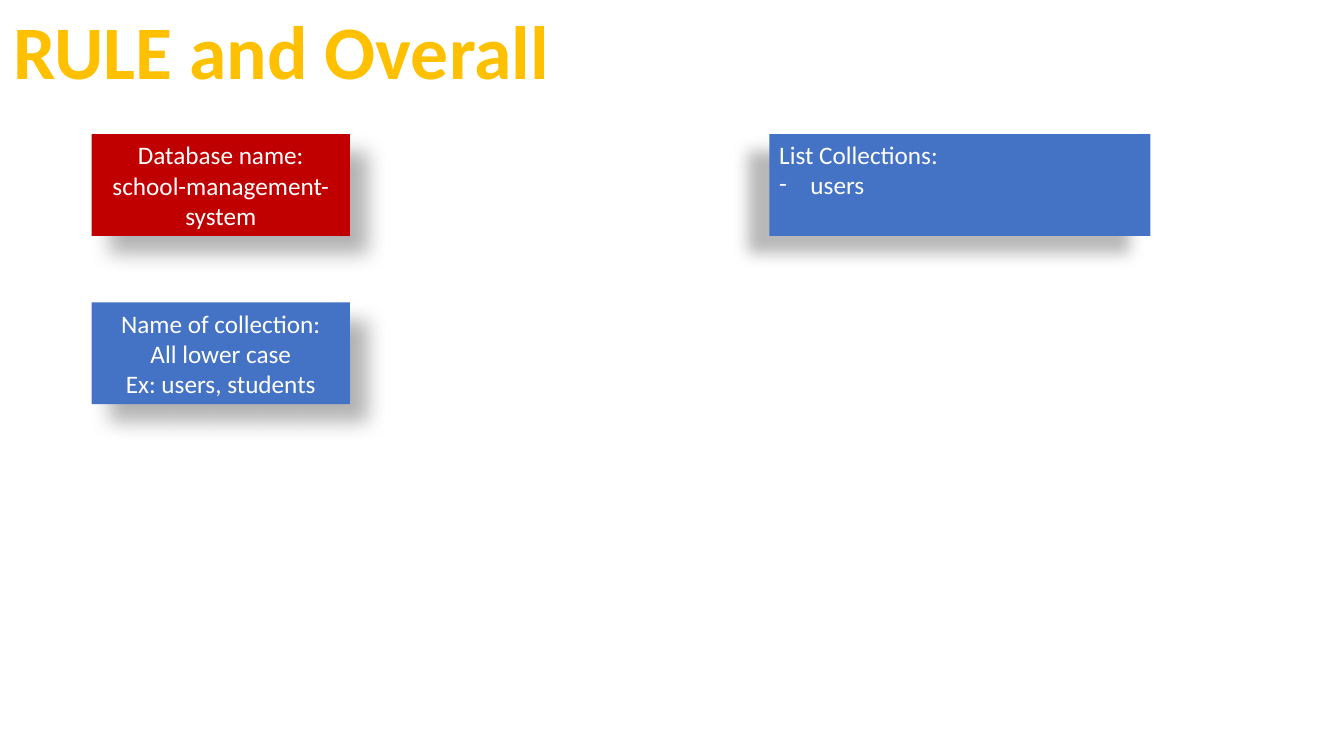
from dataclasses import dataclass

from lxml import etree
from pptx import Presentation
from pptx.dml.color import RGBColor
from pptx.enum import shapes, text
from pptx.oxml import ns
from pptx.util import Inches, Pt


@dataclass(frozen=True)
class Theme:
    font: str = "Calibri"
    gold: str = "FFC000"
    blue: str = "4472C4"
    red: str = "C00000"
    white: str = "FFFFFF"
    black: str = "000000"
    title_size: int = 54
    body_size: int = 18


@dataclass(frozen=True)
class Shadow:
    """Opacity in percent, blur and distance in points, angle in degrees."""
    opacity: int
    blur: float
    distance: float
    angle: int


@dataclass(frozen=True)
class Card:
    left: float
    top: float
    width: float
    fill: str
    lines: tuple[str, ...]
    shadow: Shadow
    bullets: tuple[str, ...] = ()


THEME = Theme()
CARD_HEIGHT = 1.01
BULLET_INDENT = Inches(0.31)
RIGHT_SHADOW = Shadow(30, 15, 18, 45)
LEFT_SHADOW = Shadow(28, 11.8, 19.7, 141)
CARDS = (
    Card(0.91, 3, 2.56, THEME.blue,
         ("Name of collection:", "All lower case", "Ex: users, students"), RIGHT_SHADOW),
    Card(0.91, 1.33, 2.56, THEME.red,
         ("Database name:", "school-management-system"), RIGHT_SHADOW),
    Card(7.63, 1.33, 3.78, THEME.blue,
         ("List Collections:",), LEFT_SHADOW, bullets=("users",)),
)


def format_paragraph(paragraph, size: int, color: str, alignment, bold: bool = False) -> None:
    paragraph.alignment = alignment
    for run in paragraph.runs:
        run.font.name = THEME.font
        run.font.size = Pt(size)
        run.font.bold = bold
        run.font.color.rgb = RGBColor.from_string(color)


def add_bullet(paragraph) -> None:
    properties = paragraph._p.get_or_add_pPr()
    properties.set("marL", str(BULLET_INDENT))
    properties.set("indent", str(-BULLET_INDENT))
    etree.SubElement(properties, ns.qn("a:buFont"), typeface=THEME.font)
    etree.SubElement(properties, ns.qn("a:buChar"), char="-")


def add_shadow(shape, shadow: Shadow) -> None:
    shape.shadow.inherit = False
    effects = shape._element.spPr.find(ns.qn("a:effectLst"))
    outer = etree.SubElement(
        effects, ns.qn("a:outerShdw"),
        blurRad=str(Pt(shadow.blur)), dist=str(Pt(shadow.distance)),
        dir=str(shadow.angle * 60000), algn="ctr", rotWithShape="0",
    )
    color = etree.SubElement(outer, ns.qn("a:srgbClr"), val=THEME.black)
    etree.SubElement(color, ns.qn("a:alpha"), val=str(shadow.opacity * 1000))


def add_title(slide, title: str) -> None:
    box = slide.shapes.add_textbox(Inches(0), Inches(-0.01), Inches(5.58), Inches(1.01))
    frame = box.text_frame
    frame.text = title
    frame.word_wrap = False
    frame.auto_size = text.MSO_AUTO_SIZE.SHAPE_TO_FIT_TEXT
    format_paragraph(frame.paragraphs[0], THEME.title_size, THEME.gold,
                     text.PP_ALIGN.CENTER, bold=True)


def add_card(slide, card: Card) -> None:
    shape = slide.shapes.add_shape(
        shapes.MSO_SHAPE.RECTANGLE, Inches(card.left), Inches(card.top),
        Inches(card.width), Inches(CARD_HEIGHT),
    )
    shape.fill.solid()
    shape.fill.fore_color.rgb = RGBColor.from_string(card.fill)
    shape.line.fill.background()
    add_shadow(shape, card.shadow)

    frame = shape.text_frame
    frame.word_wrap = True
    frame.vertical_anchor = (
        text.MSO_ANCHOR.TOP if card.bullets else text.MSO_ANCHOR.MIDDLE
    )
    frame.text = "\n".join(card.lines + card.bullets)
    alignment = text.PP_ALIGN.LEFT if card.bullets else text.PP_ALIGN.CENTER
    for paragraph in frame.paragraphs:
        format_paragraph(paragraph, THEME.body_size, THEME.white, alignment)
    for paragraph in frame.paragraphs[len(card.lines):]:
        add_bullet(paragraph)


def main() -> None:
    presentation = Presentation()
    presentation.slide_width = Inches(13.33)
    presentation.slide_height = Inches(7.5)
    slide = presentation.slides.add_slide(presentation.slide_layouts[6])
    add_title(slide, "RULE and Overall")
    for card in CARDS:
        add_card(slide, card)
    presentation.save("out.pptx")


if __name__ == "__main__":
    main()
